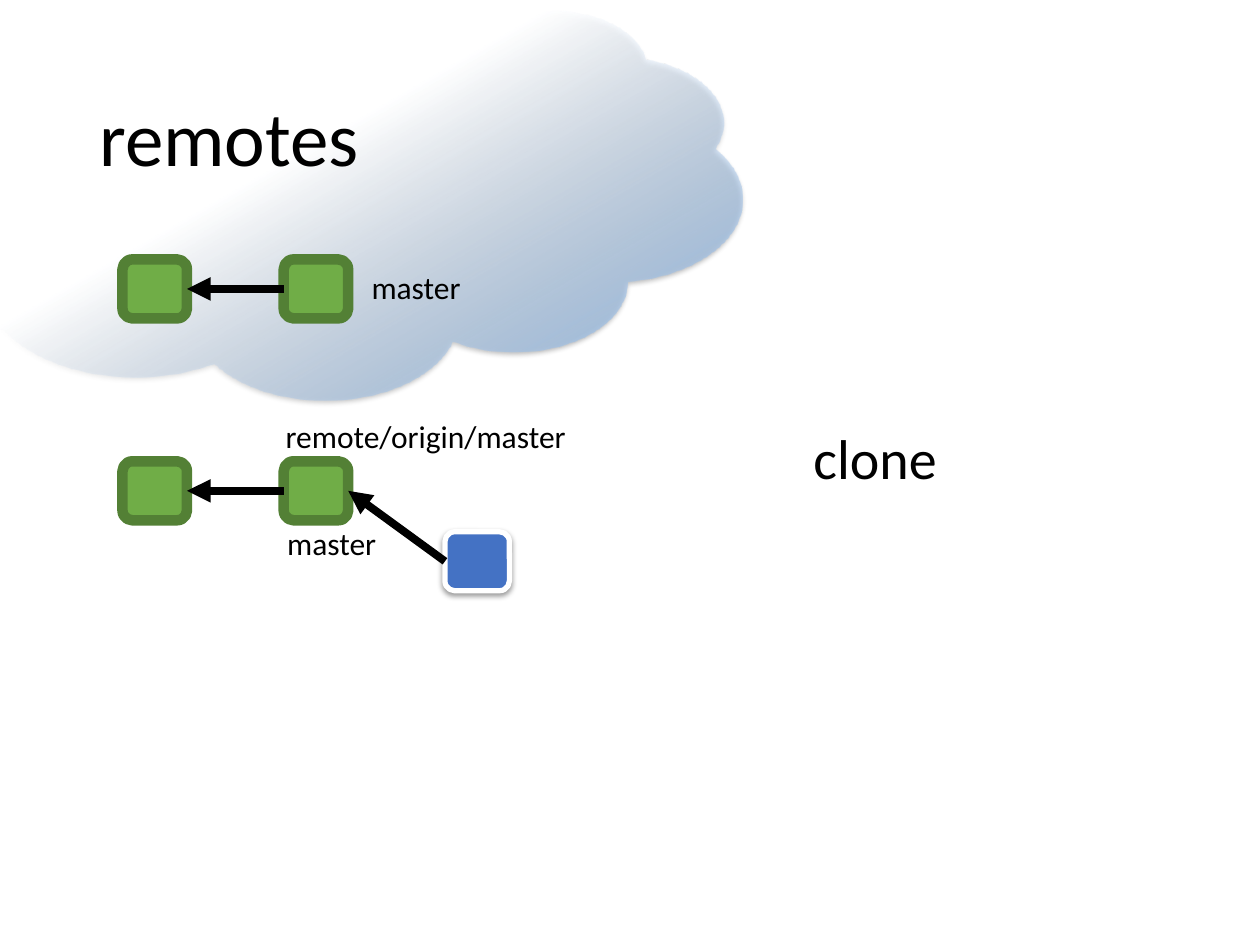
from dataclasses import dataclass
from lxml.etree import SubElement
from pptx import Presentation
from pptx.dml.color import RGBColor
from pptx.enum.shapes import MSO_CONNECTOR, MSO_SHAPE
from pptx.enum.text import MSO_ANCHOR, MSO_AUTO_SIZE
from pptx.oxml.ns import qn
from pptx.util import Cm, Pt


@dataclass(frozen=True)
class Theme:
    font: str = "Calibri"
    ink: str = "000000"
    white: str = "FFFFFF"
    green: str = "70AD47"
    edge: str = "538035"
    blue: str = "4472C4"
    mist: str = "B1CBE9"
    sky: str = "93B9E4"
    title: int = 44
    head: int = 32
    label: int = 18


class Board:
    """Draw commits, arrows and labels on one slide."""

    def __init__(self, slide, theme):
        self.shapes = slide.shapes
        self.theme = theme

    def shade(self, shape):
        effects = shape._element.spPr.find(qn("a:effectLst"))
        outer = SubElement(effects, qn("a:outerShdw"), blurRad=str(Pt(3.1)),
                           dist=str(Pt(1.6)), dir="5400000", rotWithShape="0")
        tone = SubElement(outer, qn("a:srgbClr"), val=self.theme.ink)
        SubElement(tone, qn("a:alpha"), val="38000")

    def shape(self, kind, left, top, width, height):
        shape = self.shapes.add_shape(kind, Cm(left), Cm(top), Cm(width), Cm(height))
        shape.shadow.inherit = False
        return shape

    def cloud(self, left, top, width, height):
        cloud = self.shape(MSO_SHAPE.CLOUD, left, top, width, height)
        cloud.line.fill.background()
        cloud.fill.gradient()
        cloud.fill.gradient_angle = 300
        first, last = cloud.fill.gradient_stops
        first.position, last.position = 0.43, 1
        first.color.rgb = RGBColor.from_string(self.theme.mist)
        last.color.rgb = RGBColor.from_string(self.theme.sky)
        tone = next(cloud._element.spPr.iter(qn("a:srgbClr")))
        SubElement(tone, qn("a:alpha"), val="0")
        self.shade(cloud)

    def commit(self, left, top, fill, edge, weight):
        box = self.shape(MSO_SHAPE.ROUNDED_RECTANGLE, left, top, BOX_W, BOX_H)
        box.fill.solid()
        box.fill.fore_color.rgb = RGBColor.from_string(fill)
        box.line.color.rgb = RGBColor.from_string(edge)
        box.line.width = Pt(weight)
        return box

    def arrow(self, start, end):
        x, y = start
        to_x, to_y = end
        line = self.shapes.add_connector(MSO_CONNECTOR.STRAIGHT,
                                         Cm(x), Cm(y), Cm(to_x), Cm(to_y))
        line.line.color.rgb = RGBColor.from_string(self.theme.ink)
        line.line.width = Pt(4.5)
        SubElement(line.line._get_or_add_ln(), qn("a:tailEnd"), type="triangle")
        SubElement(line._element.spPr, qn("a:effectLst"))

    def text(self, words, left, top, width, height, size):
        box = self.shapes.add_textbox(Cm(left), Cm(top), Cm(width), Cm(height))
        frame = box.text_frame
        frame.word_wrap = False
        frame.auto_size = MSO_AUTO_SIZE.SHAPE_TO_FIT_TEXT
        run = frame.paragraphs[0].add_run()
        run.text = words
        run.font.name = self.theme.font
        run.font.size = Pt(size)
        run.font.color.rgb = RGBColor.from_string(self.theme.ink)
        return frame

    def title(self, words, left, top, width, height):
        frame = self.text(words, left, top, width, height, self.theme.title)
        frame.auto_size = MSO_AUTO_SIZE.NONE
        frame.word_wrap = True
        frame.vertical_anchor = MSO_ANCHOR.MIDDLE
        frame.paragraphs[0].line_spacing = 0.9


BOX_W, BOX_H = 1.3, 1.19
LEFT, STEP = 2.47, 3.25
REMOTE, LOCAL, WORK = 5.23, 9.3, 10.72
COLS = [LEFT + STEP * i for i in range(3)]

deck = Presentation()
deck.slide_width, deck.slide_height = Cm(25.4), Cm(19.05)
theme = Theme()
board = Board(deck.slides.add_slide(deck.slide_layouts[6]), theme)

board.cloud(-2.24, 0.2, 17.2, 7.85)
board.title("remotes", 1.75, 1.02, 21.9, 3.68)

for top in (REMOTE, LOCAL):
    for left in COLS[:2]:
        board.commit(left, top, theme.green, theme.edge, 6)
    mid = top + BOX_H / 2
    board.arrow((COLS[1], mid), (COLS[0] + BOX_W, mid))

work = board.commit(COLS[2], WORK, theme.blue, theme.white, 3)
board.shade(work)
board.arrow((COLS[2], WORK + BOX_H / 2), (COLS[1] + BOX_W, LOCAL + BOX_H / 2))

for words, left, top, width in (
    ("master", 7.24, 5.28, 2.31),
    ("remote/origin/master", 5.51, 8.28, 6.15),
    ("master", 5.54, 10.44, 2.31),
):
    board.text(words, left, top, width, 1.02, theme.label)
board.text("clone", 16.15, 8.41, 3, 1.6, theme.head)

deck.save("out.pptx")
